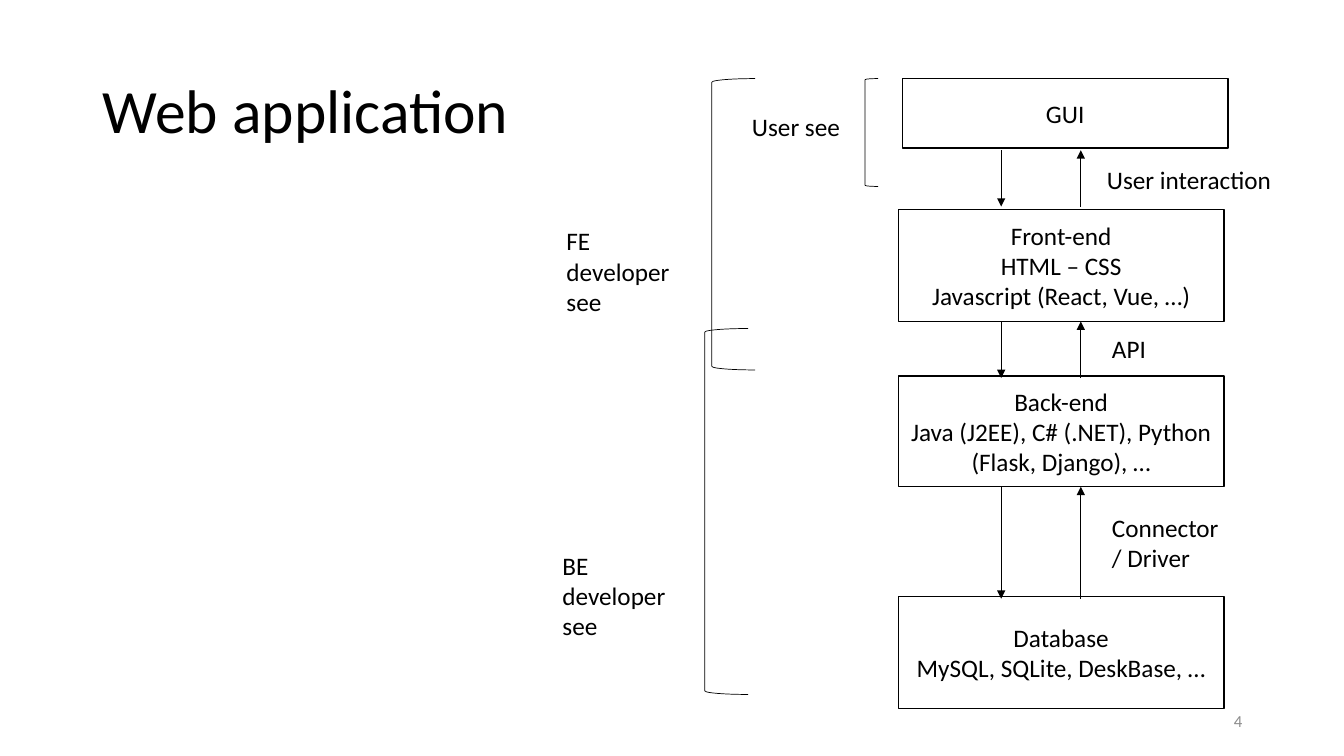
from lxml.etree import SubElement
from pptx import Presentation
from pptx.dml.color import RGBColor
from pptx.enum.shapes import MSO_CONNECTOR, MSO_SHAPE
from pptx.enum.text import MSO_ANCHOR, PP_ALIGN
from pptx.oxml.ns import qn
from pptx.util import Inches, Pt

COLORS = {"ink": "000000", "number": "8C8C8C"}
BOX_LEFT, BOX_WIDTH = 8.91, 3.23
DOWN_X, UP_X = 9.93, 10.72

LAYERS = [  # left, top, height, lines
    (8.95, 0.78, 0.69, ["GUI"]),
    (BOX_LEFT, 2.08, 1.11, ["Front-end", "HTML – CSS", "Javascript (React, Vue, …)"]),
    (BOX_LEFT, 3.73, 1.1, ["Back-end", "Java (J2EE), C# (.NET), Python (Flask, Django), …"]),
    (BOX_LEFT, 5.92, 1.11, ["Database", "MySQL, SQLite, DeskBase, …"]),
]
EXCHANGES = [(1.49, 2.05), (3.19, 3.75), (4.83, 5.94)]  # top, bottom
BRACKETS = [
    (8.58, 0.78, 0.13, 1.07),
    (7.06, 0.78, 0.43, 2.89),
    (6.99, 3.26, 0.43, 3.63),
]
LABELS = [
    ("User see", (7.36, 1.06, 1.12, 0.4)),
    ("User interaction", (10.88, 1.58, 2, 0.4)),
    ("API", (10.93, 3.26, 1.18, 0.4)),
    ("Connector / Driver", (10.93, 5.03, 1.31, 0.71)),
    ("FE developer see", (5.52, 2.19, 1.34, 1.01)),
    ("BE developer see", (5.48, 5.41, 1.34, 1.01)),
]


def rgb(name):
    return RGBColor.from_string(COLORS[name])


def write(tf, lines, size=18, color="ink", align=PP_ALIGN.LEFT,
          anchor=MSO_ANCHOR.TOP, spacing=None):
    tf.word_wrap = True
    tf.vertical_anchor = anchor
    for i, line in enumerate(lines):
        p = tf.paragraphs[0] if i == 0 else tf.add_paragraph()
        p.alignment = align
        p.line_spacing = spacing
        r = p.add_run()
        r.text = line
        for key, value in {"name": "Calibri", "size": Pt(size)}.items():
            setattr(r.font, key, value)
        r.font.color.rgb = rgb(color)


def add_text(s, text, box, **style):
    tb = s.shapes.add_textbox(*map(Inches, box))
    write(tb.text_frame, [text], **style)


def add_outline(s, kind, box, weight):
    sp = s.shapes.add_shape(kind, *map(Inches, box))
    sp.shadow.inherit = False
    sp.fill.background()
    sp.line.color.rgb = rgb("ink")
    sp.line.width = Pt(weight)
    return sp


def add_layer(s, left, top, height, lines):
    sp = add_outline(s, MSO_SHAPE.RECTANGLE, (left, top, BOX_WIDTH, height), 1)
    write(sp.text_frame, lines, align=PP_ALIGN.CENTER, anchor=MSO_ANCHOR.MIDDLE)


def add_arrow(s, x, start, end):
    c = s.shapes.add_connector(
        MSO_CONNECTOR.STRAIGHT, Inches(x), Inches(start), Inches(x), Inches(end))
    c.line.color.rgb = rgb("ink")
    c.line.width = Pt(0.5)
    SubElement(c.line._get_or_add_ln(), qn("a:tailEnd"), type="triangle")
    SubElement(c._element.spPr, qn("a:effectLst"))


def main():
    prs = Presentation()
    prs.slide_width, prs.slide_height = Inches(13.33), Inches(7.5)
    s = prs.slides.add_slide(prs.slide_layouts[6])

    add_text(s, "Web application", (0.92, 0.4, 11.5, 1.45), size=44,
             anchor=MSO_ANCHOR.MIDDLE, spacing=0.9)
    for layer in LAYERS:
        add_layer(s, *layer)
    for top, bottom in EXCHANGES:
        add_arrow(s, DOWN_X, top, bottom)
        add_arrow(s, UP_X, bottom, top)
    for box in BRACKETS:
        add_outline(s, MSO_SHAPE.LEFT_BRACKET, box, 0.5)
    for text, box in LABELS:
        add_text(s, text, box)
    add_text(s, "4", (9.42, 6.95, 3, 0.4), size=12, color="number",
             align=PP_ALIGN.RIGHT, anchor=MSO_ANCHOR.MIDDLE)

    prs.save("out.pptx")


if __name__ == "__main__":
    main()
